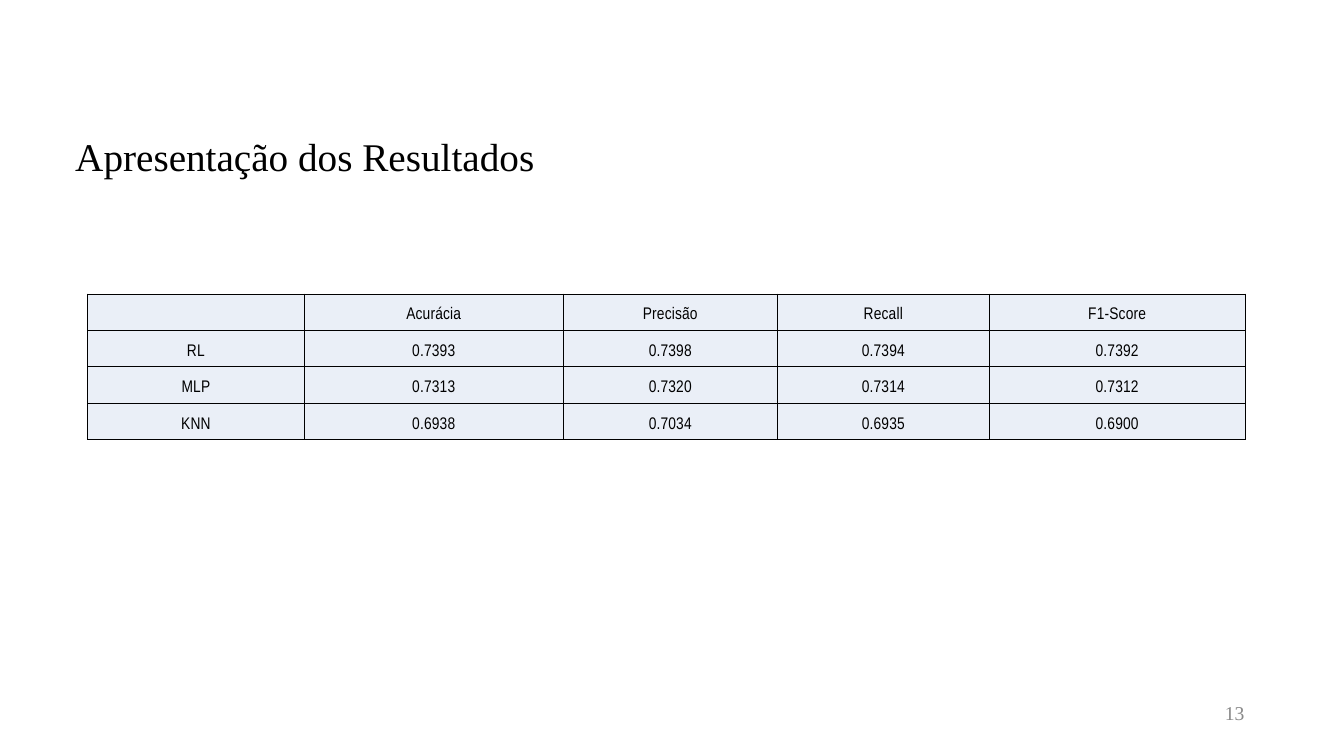
from lxml.etree import SubElement
from pptx import Presentation
from pptx.dml.color import RGBColor
from pptx.enum.text import MSO_ANCHOR, PP_ALIGN
from pptx.oxml.ns import qn
from pptx.util import Inches, Pt

COLORS = {"ink": "000000", "page": "898989", "cell": "EAEFF7"}
SERIF, NARROW = "Times New Roman", "Arial Narrow"


def write(para, text, size, face, color, lead, align):
    para.alignment = align
    para.line_spacing = Pt(lead)
    run = para.add_run()
    run.text = text
    for name, value in {"size": Pt(size), "name": face}.items():
        setattr(run.font, name, value)
    run.font.color.rgb = RGBColor.from_string(COLORS[color])
    return run


def outline(cell):
    props = cell._tc.get_or_add_tcPr()
    for side in ("lnL", "lnR", "lnT", "lnB"):
        line = SubElement(props, qn(f"a:{side}"), w=str(Pt(0.37)))
        fill = SubElement(line, qn("a:solidFill"))
        SubElement(fill, qn("a:srgbClr"), val=COLORS["ink"])


deck = Presentation()
deck.slide_width, deck.slide_height = Inches(20), Inches(11.25)
slide = deck.slides.add_slide(deck.slide_layouts[6])

labels = [
    ((1.12, 2.04, 16.3, 2.32), "Apresentação dos Resultados", 42, "ink", 45.4, PP_ALIGN.LEFT),
    ((14.22, 10.43, 4.3, 0.55), "13", 21, "page", 25.2, PP_ALIGN.RIGHT),
]
frame_format = {
    "word_wrap": True,
    "margin_left": 0,
    "margin_right": 0,
    "margin_top": 0,
    "margin_bottom": 0,
}
for place, text, size, color, lead, align in labels:
    frame = slide.shapes.add_textbox(*map(Inches, place)).text_frame
    for name, value in frame_format.items():
        setattr(frame, name, value)
    write(frame.paragraphs[0], text, size, SERIF, color, lead, align)

scores = [
    ["", "Acurácia", "Precisão", "Recall", "F1-Score"],
    ["RL", "0.7393", "0.7398", "0.7394", "0.7392"],
    ["MLP", "0.7313", "0.7320", "0.7314", "0.7312"],
    ["KNN", "0.6938", "0.7034", "0.6935", "0.6900"],
]
widths = [3.23, 3.85, 3.19, 3.15, 3.81]
place = map(Inches, (1.3, 4.37, sum(widths), 2.17))
table = slide.shapes.add_table(len(scores), len(widths), *place).table
table.first_row = table.horz_banding = False
for column, width in zip(table.columns, widths):
    column.width = Inches(width)

cell_format = {
    "vertical_anchor": MSO_ANCHOR.MIDDLE,
    "margin_left": Inches(0.07),
    "margin_right": Inches(0.07),
    "margin_top": Inches(0.07),
    "margin_bottom": Inches(0.07),
}
for row, texts in zip(table.rows, scores):
    for cell, text in zip(row.cells, texts):
        for name, value in cell_format.items():
            setattr(cell, name, value)
        outline(cell)
        cell.fill.solid()
        cell.fill.fore_color.rgb = RGBColor.from_string(COLORS["cell"])
        if text:
            para = cell.text_frame.paragraphs[0]
            run = write(para, text, 18, NARROW, "ink", 24.8, PP_ALIGN.CENTER)
            run._r.get_or_add_rPr().set("spc", "20")

deck.save("out.pptx")
